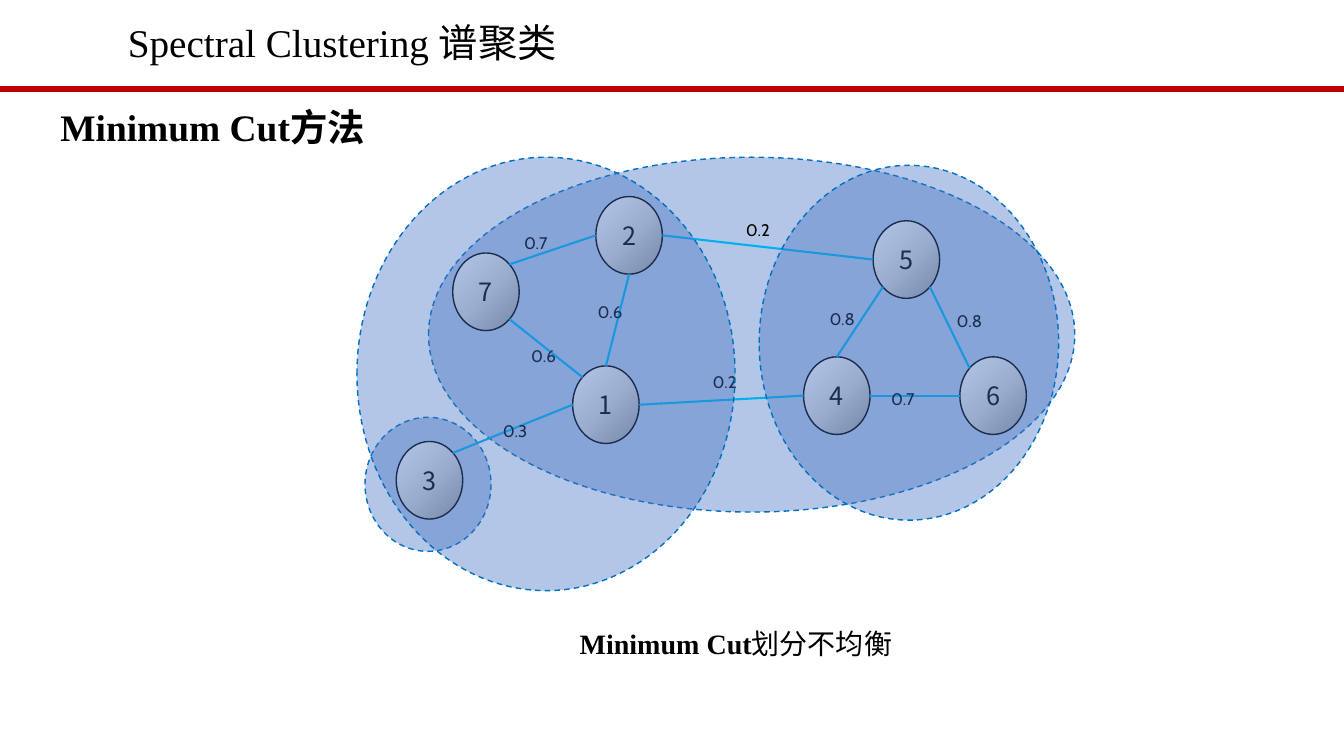
import math

from lxml import etree
from pptx import Presentation
from pptx.dml.color import RGBColor
from pptx.enum import dml, shapes, text
from pptx.oxml import ns
from pptx.util import Inches, Pt

COLORS = {"rule": "C00000", "cluster": "4472C4", "cluster_edge": "0070C0",
          "edge": "00B0F0", "ink": "000000",
          "node_dark": "979797", "node_mid": "D7D7D7", "node_light": "FFFFFF"}
NODE_W, NODE_H = 0.66, 0.77

prs = Presentation()
prs.slide_width, prs.slide_height = Inches(13.33), Inches(7.5)
slide = prs.slides.add_slide(prs.slide_layouts[6])
items = slide.shapes


def add_line(start, end, color, width):
    line = items.add_connector(shapes.MSO_CONNECTOR.STRAIGHT,
                               *(Inches(v) for v in (*start, *end)))
    line.line.color.rgb = RGBColor.from_string(COLORS[color])
    line.line.width = Pt(width)
    etree.SubElement(line._element.spPr, ns.qn("a:effectLst"))


def write(frame, runs):
    """Fill the first paragraph with (text, font name, size, bold) runs."""
    for words, font_name, size, bold in runs:
        run = frame.paragraphs[0].add_run()
        run.text = words
        for key, value in {"name": font_name, "size": Pt(size), "bold": bold}.items():
            setattr(run.font, key, value)
        run.font.color.rgb = RGBColor.from_string(COLORS["ink"])
        east_asian = etree.SubElement(run.font._element, ns.qn("a:ea"))
        east_asian.set("typeface", "Noto Sans CJK SC")


add_line((0, 0.88), (13.33, 0.88), "rule", 4.5)

# Clusters: the first two lie behind the graph, the last two in front of it
clusters = [(3.62, 4.14, 1.25, 1.33), (4.25, 1.56, 6.41, 3.52),
            (3.54, 1.56, 3.75, 4.3), (7.53, 1.64, 2.97, 3.52)]
front_clusters = []
for index, bounds in enumerate(clusters):
    cluster = items.add_shape(shapes.MSO_SHAPE.OVAL, *(Inches(v) for v in bounds))
    cluster.shadow.inherit = False
    cluster.fill.solid()
    cluster.fill.fore_color.rgb = RGBColor.from_string(COLORS["cluster"])
    tint = cluster._element.spPr.find(".//" + ns.qn("a:srgbClr"))
    etree.SubElement(tint, ns.qn("a:alpha")).set("val", "40000")
    cluster.line.color.rgb = RGBColor.from_string(COLORS["cluster_edge"])
    cluster.line.width = Pt(1)
    cluster.line.dash_style = dml.MSO_LINE.DASH
    if index >= 2:
        front_clusters.append(cluster)

# Graph nodes, shaded from the lower right corner
nodes = {"2": (5.91, 1.95), "3": (3.93, 4.38), "1": (5.68, 3.63), "6": (9.52, 3.54),
         "4": (7.97, 3.54), "5": (8.66, 2.19), "7": (4.49, 2.51)}
for label, (left, top) in nodes.items():
    node = items.add_shape(shapes.MSO_SHAPE.OVAL, Inches(left), Inches(top),
                           Inches(NODE_W), Inches(NODE_H))
    node.shadow.inherit = False
    node.fill.gradient()
    gradient = node._element.spPr.find(ns.qn("a:gradFill"))
    for child in list(gradient):
        gradient.remove(child)
    stops = etree.SubElement(gradient, ns.qn("a:gsLst"))
    for position, shade in ((0, "node_dark"), (50, "node_mid"), (100, "node_light")):
        stop = etree.SubElement(stops, ns.qn("a:gs"), pos=str(position * 1000))
        etree.SubElement(stop, ns.qn("a:srgbClr"), val=COLORS[shade])
    radial = etree.SubElement(gradient, ns.qn("a:path"), path="circle")
    etree.SubElement(radial, ns.qn("a:fillToRect"), l="100000", t="100000")
    node.line.color.rgb = RGBColor.from_string(COLORS["ink"])
    node.line.width = Pt(1)
    frame = node.text_frame
    for side in ("left", "right", "top", "bottom"):
        setattr(frame, "margin_" + side, 0)
    frame.vertical_anchor = text.MSO_ANCHOR.MIDDLE
    frame.paragraphs[0].alignment = text.PP_ALIGN.CENTER
    write(frame, [(label, "Noto Sans CJK SC", 18, False)])

# Edges: each end is a node and the angle on its rim, clockwise from the right
edges = [("1", 180, "3", 315), ("5", 135, "4", 270), ("5", 45, "6", 225),
         ("2", 90, "1", 270), ("4", 180, "1", 0), ("6", 180, "4", 0),
         ("5", 180, "2", 0), ("2", 180, "7", 315), ("1", 225, "7", 45)]
for source, source_angle, target, target_angle in edges:
    ends = []
    for label, angle in ((source, source_angle), (target, target_angle)):
        left, top = nodes[label]
        turn = math.radians(angle)
        ends.append((left + NODE_W / 2 * (1 + math.cos(turn)),
                     top + NODE_H / 2 * (1 + math.sin(turn))))
    add_line(*ends, "edge", 1.5)

# Edge weights, then headings and caption
captions = [((left, top, width, 0.3), [(weight, "Cabin", 12, False)])
            for weight, left, top, width in [
                ("0.3", 4.89, 4.12, 0.44), ("0.8", 9.39, 3.03, 0.46),
                ("0.8", 8.13, 3.01, 0.47), ("0.6", 5.83, 2.94, 0.48),
                ("0.2", 7.3, 2.13, 0.51), ("0.2", 6.97, 3.64, 0.52),
                ("0.7", 8.74, 3.81, 0.44), ("0.7", 5.1, 2.26, 0.44),
                ("0.6", 5.17, 3.38, 0.59)]]
captions += [
    ((5.65, 6.17, 3.32, 0.44), [("Minimum Cut", "Times New Roman", 20, True),
                                ("划分不均衡", "Cabin", 20, False)]),
    ((1.17, 0.13, 5, 0.57), [("Spectral Clustering 谱聚类", "Times New Roman", 28, False)]),
    ((0.5, 0.98, 3.25, 0.55), [("Minimum Cut方法", "Times New Roman", 26.7, True)])]
for bounds, runs in captions:
    frame = items.add_textbox(*(Inches(v) for v in bounds)).text_frame
    frame.word_wrap = True
    write(frame, runs)

for cluster in front_clusters:
    items._spTree.append(cluster._element)

prs.save("out.pptx")
